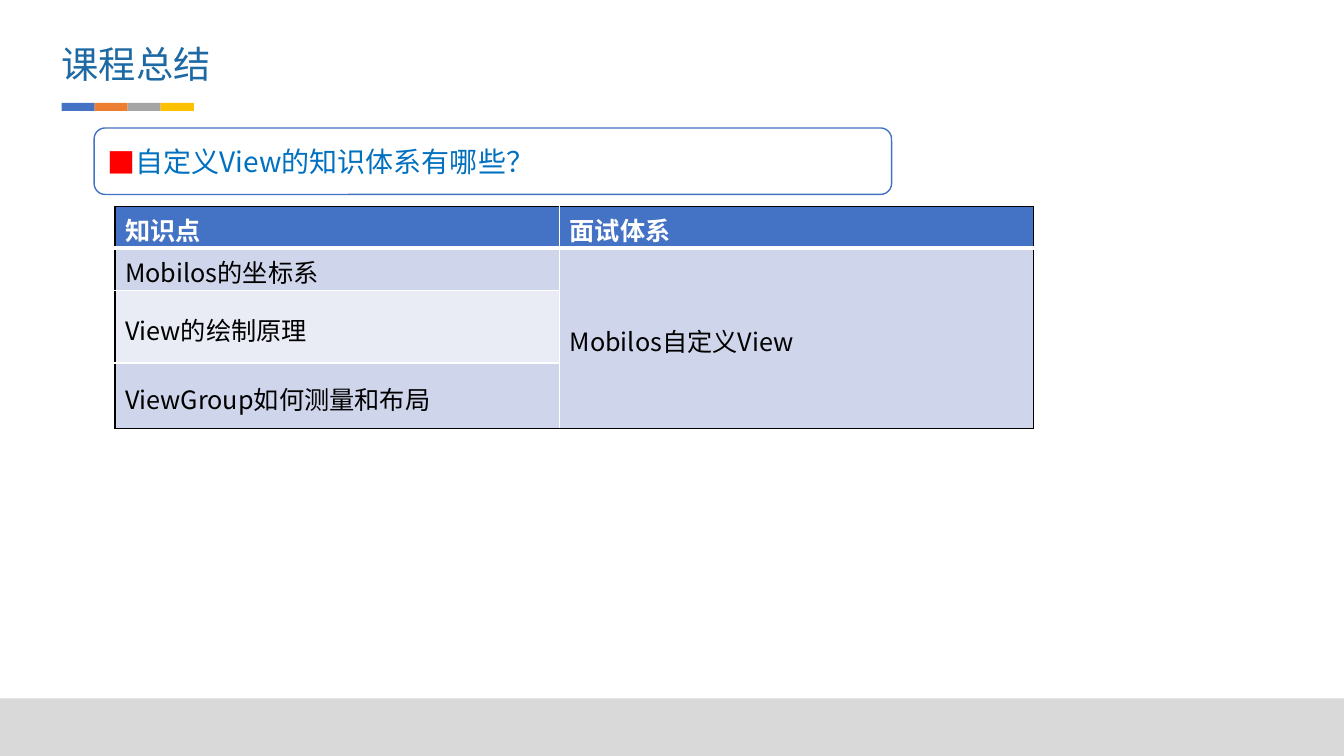
from lxml import etree
from pptx import Presentation, util as u
from pptx.dml.color import RGBColor
from pptx.enum import shapes, text
from pptx.oxml import ns

WIDTH, HEIGHT = u.Inches(13.33), u.Inches(7.5)
FONT = "Noto Sans CJK SC"

WHITE = RGBColor(0xFF, 0xFF, 0xFF)
BLACK = RGBColor(0, 0, 0)
RED = RGBColor(0xFF, 0, 0)
BLUE = RGBColor(0x44, 0x72, 0xC4)
ORANGE = RGBColor(0xED, 0x7D, 0x31)
GRAY = RGBColor(0xA5, 0xA5, 0xA5)
GOLD = RGBColor(0xFF, 0xC0, 0x00)
FOOTER_GRAY = RGBColor(0xD9, 0xD9, 0xD9)
TITLE_BLUE = RGBColor(0x1D, 0x69, 0xA3)
QUESTION_BLUE = RGBColor(0x00, 0x70, 0xC0)
BAND_DARK = RGBColor(0xCF, 0xD5, 0xEA)
BAND_LIGHT = RGBColor(0xE9, 0xEB, 0xF5)

TOPICS = ["Mobilos的坐标系", "View的绘制原理", "ViewGroup如何测量和布局"]
COLUMN_SHARES = [33.08, 35.26]
ROW_SHARES = [5.47, 5.6, 9.6, 8.67]


def across(percent):
    return round(WIDTH * percent / 100)


def down(percent):
    return round(HEIGHT * percent / 100)


def box(left, top, width, height):
    """Turn shares of the slide, in percent, into lengths."""
    return across(left), down(top), across(width), down(height)


def set_all(target, values):
    for name, value in values.items():
        setattr(target, name, value)


def child(parent, tag, **attributes):
    return etree.SubElement(parent, ns.qn(tag), attributes)


def write(frame, words, size, color, bold=False,
          anchor=text.MSO_ANCHOR.MIDDLE, **margins):
    set_all(frame, {"word_wrap": True, "vertical_anchor": anchor, **margins})
    paragraph = frame.paragraphs[0]
    paragraph.alignment = text.PP_ALIGN.LEFT
    run = paragraph.add_run()
    run.text = words
    set_all(run.font, {"size": u.Pt(size), "bold": bold, "name": FONT})
    run.font.color.rgb = color
    child(run.font._element, "a:ea", typeface=FONT)
    return paragraph


def add_block(parent, kind, place, fill, line=None):
    shape = parent.add_shape(kind, *place)
    shape.shadow.inherit = False
    shape.fill.solid()
    shape.fill.fore_color.rgb = fill
    if line is None:
        shape.line.fill.background()
    else:
        shape.line.color.rgb = line
        shape.line.width = u.Pt(1)
    return shape


def add_title(slide, words):
    title = slide.shapes.title
    set_all(title, dict(zip(("left", "top", "width", "height"),
                            box(4.58, 5.47, 30.38, 6))))
    title.text_frame.auto_size = text.MSO_AUTO_SIZE.NONE
    write(title.text_frame, words, 26.6, TITLE_BLUE, margin_left=0,
          margin_top=0, margin_right=0, margin_bottom=0)


def add_color_strip(slide):
    group = slide.shapes.add_group_shape()
    for index, color in enumerate([BLUE, ORANGE, GRAY, GOLD]):
        add_block(group.shapes, shapes.MSO_SHAPE.RECTANGLE,
                  box(4.58 + 2.46 * index, 13.6, 2.46, 1.07), color)


def add_question(slide, words):
    shape = add_block(slide.shapes, shapes.MSO_SHAPE.ROUNDED_RECTANGLE,
                      box(7, 16.93, 59.34, 8.8), WHITE, BLUE)
    paragraph = write(shape.text_frame, words, 20, QUESTION_BLUE)
    properties = paragraph._p.get_or_add_pPr()
    indent = u.Inches(0.28)
    properties.set("marL", str(indent))
    properties.set("indent", str(-indent))
    child(child(properties, "a:buClr"), "a:srgbClr", val=str(RED))
    child(properties, "a:buFont", typeface=FONT)
    child(properties, "a:buChar", char="■")


def set_borders(cell, borders):
    properties = cell._tc.get_or_add_tcPr()
    for index, (side, (color, points)) in enumerate(borders.items()):
        line = etree.Element(ns.qn(f"a:ln{side}"), w=str(u.Pt(points)))
        child(child(line, "a:solidFill"), "a:srgbClr", val=str(color))
        properties.insert(index, line)


def add_topic_table(slide):
    rows, columns = len(ROW_SHARES), len(COLUMN_SHARES)
    place = box(8.56, 27.33, sum(COLUMN_SHARES), sum(ROW_SHARES))
    table = slide.shapes.add_table(rows, columns, *place).table
    for column, share in zip(table.columns, COLUMN_SHARES):
        column.width = across(share)
    for row, share in zip(table.rows, ROW_SHARES):
        row.height = down(share)
    table.cell(1, 1).merge(table.cell(rows - 1, 1))

    # Wording
    margins = {"margin_bottom": 0}
    contents = {(0, 0): "知识点", (0, 1): "面试体系", (1, 1): "Mobilos自定义View"}
    contents.update({(row, 0): topic for row, topic in enumerate(TOPICS, 1)})
    for (row, column), words in contents.items():
        cell = table.cell(row, column)
        header = row == 0
        write(cell.text_frame, words, 18, WHITE if header else BLACK, header)
        cell.vertical_anchor = (text.MSO_ANCHOR.TOP if header
                                else text.MSO_ANCHOR.MIDDLE)

    # Bands, black outer border, white inner lines
    for row in range(rows):
        for column in range(columns):
            cell = table.cell(row, column)
            set_all(cell, margins)
            cell.fill.solid()
            light = row == 2 and column == 0
            cell.fill.fore_color.rgb = (BLUE if row == 0 else
                                        BAND_LIGHT if light else BAND_DARK)
            last = row + (cell.span_height if cell.is_merge_origin else 1)
            set_borders(cell, {
                "L": (BLACK if column == 0 else WHITE, 1),
                "R": (BLACK if column == columns - 1 else WHITE, 1),
                "T": (BLACK if row == 0 else WHITE, 3 if row == 1 else 1),
                "B": (BLACK if last == rows else WHITE, 3 if row == 0 else 1),
            })


def main():
    presentation = Presentation()
    set_all(presentation, {"slide_width": WIDTH, "slide_height": HEIGHT})
    slide = presentation.slides.add_slide(presentation.slide_layouts[5])

    # Footer band
    add_block(slide.shapes, shapes.MSO_SHAPE.RECTANGLE,
              box(0, 92.4, 100, 7.6), FOOTER_GRAY)

    # Heading
    add_title(slide, "课程总结")
    add_color_strip(slide)

    # Question and its summary table
    add_question(slide, "自定义View的知识体系有哪些？")
    add_topic_table(slide)

    presentation.save("out.pptx")


if __name__ == "__main__":
    main()
